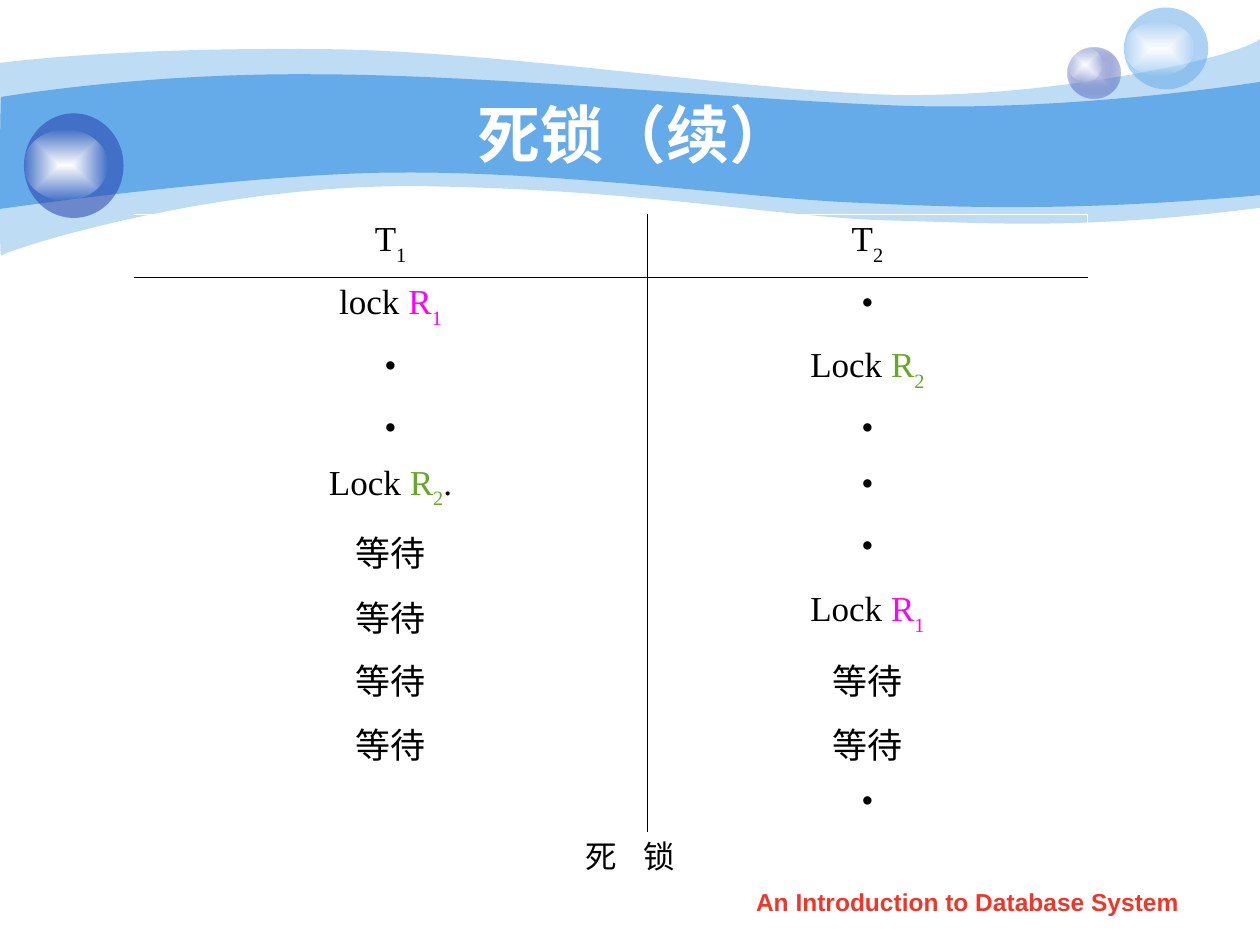
"""Build the deadlock slide: a two-transaction lock schedule under a wave banner."""
from lxml import etree
from pptx import Presentation
from pptx import util as u
from pptx.dml.color import RGBColor
from pptx.enum import shapes, text
from pptx.oxml import parse_xml
from pptx.oxml.ns import nsdecls, qn

THEME = {
    "latin": "Arial", "serif": "Times New Roman",
    "title": 36, "body": 20, "caption": 18, "footer": 14, "rule": 0.45, "gap": 11.2,
    "white": "FFFFFF", "black": "000000", "sky": "65AAE9", "navy": "233DA9",
    "mist": "C6CCE8", "glow": "FEFEFE", "r1": "FF00FF", "r2": "65A927", "footer_color": "F03628",
}

TITLE = "死锁（续）"
CAPTION = ["死", " ", "锁"]
FOOTER = "An Introduction to Database System"

DOT, WAIT = [("•",)], [("等待",)]


def lock(verb, number, tail=""):
    """Return the runs (text, colour, subscript) of a lock request."""
    color = THEME[f"r{number}"]
    runs = [(verb + " ",), ("R", color), (str(number), color, True)]
    return runs + [(tail,)] if tail else runs


SCHEDULE = [
    ([("T",), ("1", None, True)], [("T",), ("2", None, True)]),
    (lock("lock", 1), DOT),
    (DOT, lock("Lock", 2)),
    (DOT, DOT),
    (lock("Lock", 2, "."), DOT),
    (WAIT, DOT),
    (WAIT, lock("Lock", 1)),
    (WAIT, WAIT),
    (WAIT, WAIT),
    ([], DOT),
]
COLUMNS = [4.08, 3.49]
ROWS = [0.5, 0.5, 0.49, 0.44, 0.49, 0.51, 0.5, 0.51, 0.5, 0.46]

WAVES = [
    (41, (0, 0.5), [
        (0.24, 0.47, 1.07, 0.38, 2.47, 0.39), (3.86, 0.39, 5.75, 0.7, 6.99, 0.75),
        (8.22, 0.8, 9.8, 0.47, 10, 0.31), (10, 1.65),
        (8.58, 1.83, 7.87, 1.77, 7.05, 1.75), (6.22, 1.73, 5.15, 1.51, 3.43, 1.48),
        (1.72, 1.44, 0.04, 1.99, 0.01, 2.03), (-0.01, 2.08, 0, 0.75, 0, 0.5)]),
    (100, (0.01, 0.77), [
        (0.02, 0.77, 1.1, 0.58, 2.48, 0.59), (3.86, 0.59, 5.95, 0.8, 7.18, 0.84),
        (8.41, 0.88, 9.76, 0.69, 10, 0.65), (10, 1.55),
        (8.53, 1.68, 7.65, 1.65, 6.82, 1.61), (5.99, 1.58, 4.47, 1.36, 3.17, 1.37),
        (2.03, 1.37, -0.02, 1.66, -0.01, 1.66), (0, 1.66, 0, 0.77, 0.01, 0.77)]),
]

SHINE = [(THEME["white"], 100), (THEME["glow"], 0)]
BUBBLES = [
    ((8.47, 0.38, 0.42, 0.4), [(THEME["mist"], 100), (THEME["navy"], 31)], (8.47, 0.38, 0.28, 0.27)),
    ((8.92, 0.06, 0.67, 0.65), [(THEME["sky"], 53)], (8.92, 0.17, 0.56, 0.43)),
    ((0.19, 0.9, 0.79, 0.83), [(THEME["navy"], 53)], (0.19, 1.03, 0.66, 0.56)),
]


def inches(values):
    return [u.Inches(v) for v in values]


def color_xml(color, alpha):
    return f'<a:srgbClr val="{color}"><a:alpha val="{alpha * 1000}"/></a:srgbClr>'


def paint(sp, stops):
    """Fill a shape with one colour or a centred gradient, each stop with its opacity."""
    sp.shadow.inherit = False
    sp.line.fill.background()
    if len(stops) == 1:
        color, alpha = stops[0]
        sp.fill.solid()
        sp.fill.fore_color.rgb = RGBColor.from_string(color)
        if alpha < 100:
            node = sp._element.spPr.find(qn("a:solidFill"))[0]
            etree.SubElement(node, qn("a:alpha"), val=str(alpha * 1000))
        return
    sp.fill.background()
    old = sp._element.spPr.find(qn("a:noFill"))
    marks = "".join(f'<a:gs pos="{pos}">{color_xml(*stop)}</a:gs>'
                    for pos, stop in zip((0, 100000), stops))
    old.getparent().replace(old, parse_xml(
        f'<a:gradFill {nsdecls("a")} rotWithShape="1"><a:gsLst>{marks}</a:gsLst>'
        '<a:path path="rect"><a:fillToRect l="50000" t="50000" r="50000" b="50000"/></a:path>'
        '</a:gradFill>'))


def add_wave(slide, alpha, start, segments):
    """Add a closed outline whose six-number segments are cubic curves."""
    points = [seg[i:i + 2] for seg in segments for i in range(0, len(seg), 2)]
    outline = slide.shapes.build_freeform(*inches(start))
    outline.add_line_segments([inches(pt) for pt in points], close=True)
    sp = outline.convert_to_shape()
    lines = iter(list(sp._element.iter(qn("a:lnTo"))))
    for seg in segments:
        first = next(lines)
        if len(seg) == 6:
            first.tag = qn("a:cubicBezTo")
            for _ in range(2):
                extra = next(lines)
                first.append(extra[0])
                extra.getparent().remove(extra)
    paint(sp, [(THEME["sky"], alpha)])


def style(p, size, font, color, bold=False):
    p.alignment = text.PP_ALIGN.CENTER
    p.font.size, p.font.name, p.font.bold = u.Pt(size), font, bold
    p.font.color.rgb = RGBColor.from_string(color)


def add_label(slide, box, words, *look, wrap=True):
    """Add a centred one-line label and return its runs."""
    tf = slide.shapes.add_textbox(*inches(box)).text_frame
    tf.word_wrap = wrap
    tf.vertical_anchor = text.MSO_ANCHOR.MIDDLE
    p = tf.paragraphs[0]
    style(p, *look)
    for word in words:
        p.add_run().text = word
    return p.runs


def set_borders(cell, colors):
    """Draw the left, right, top and bottom rules of a cell."""
    props = cell._tc.get_or_add_tcPr()
    for i, (side, color) in enumerate(zip("LRTB", colors)):
        fill = f'<a:solidFill><a:srgbClr val="{color}"/></a:solidFill>' if color else "<a:noFill/>"
        props.insert(i, parse_xml(
            f'<a:ln{side} {nsdecls("a")} w="{u.Pt(THEME["rule"])}">{fill}</a:ln{side}>'))


def add_schedule(slide):
    box = (1.06, 1.7, sum(COLUMNS), sum(ROWS))
    table = slide.shapes.add_table(len(ROWS), len(COLUMNS), *inches(box)).table
    table.first_row = table.horz_banding = False
    for col, width in zip(table.columns, inches(COLUMNS)):
        col.width = width
    for row, height in zip(table.rows, inches(ROWS)):
        row.height = height
    black, white = THEME["black"], THEME["white"]
    for i, entries in enumerate(SCHEDULE):
        top = {0: white, 1: black}.get(i)
        bottom = {0: black, len(ROWS) - 1: white}.get(i)
        for j, runs in enumerate(entries):
            cell = table.cell(i, j)
            cell.fill.background()
            set_borders(cell, ((None, black), (black, white))[j] + (top, bottom))
            p = cell.text_frame.paragraphs[0]
            style(p, THEME["body"], THEME["serif"], black)
            for words, color, sub in ((*run, None, None)[:3] for run in runs):
                r = p.add_run()
                r.text = words
                if color:
                    r.font.color.rgb = RGBColor.from_string(color)
                if sub:
                    r._r.get_or_add_rPr().set("baseline", "-30000")


def main():
    prs = Presentation()
    prs.slide_width, prs.slide_height = inches((10, 7.5))
    slide = prs.slides.add_slide(prs.slide_layouts[6])
    for wave in WAVES:
        add_wave(slide, *wave)
    for ball, stops, shine in BUBBLES:
        group = slide.shapes.add_group_shape()
        for box, fill in ((ball, stops), (shine, SHINE)):
            paint(group.shapes.add_shape(shapes.MSO_SHAPE.OVAL, *inches(box)), fill)
    add_label(slide, (1, 0.75, 8.08, 0.62), [TITLE],
              THEME["title"], THEME["latin"], THEME["white"], True)
    add_schedule(slide)
    runs = add_label(slide, (4.17, 6.59, 1.67, 0.4), CAPTION,
                     THEME["caption"], THEME["serif"], THEME["black"], wrap=False)
    runs[1]._r.get_or_add_rPr().set("spc", str(round(THEME["gap"] * 100)))
    add_label(slide, (5.71, 6.98, 3.94, 0.35), [FOOTER],
              THEME["footer"], THEME["latin"], THEME["footer_color"], True)
    prs.save("out.pptx")


if __name__ == "__main__":
    main()
